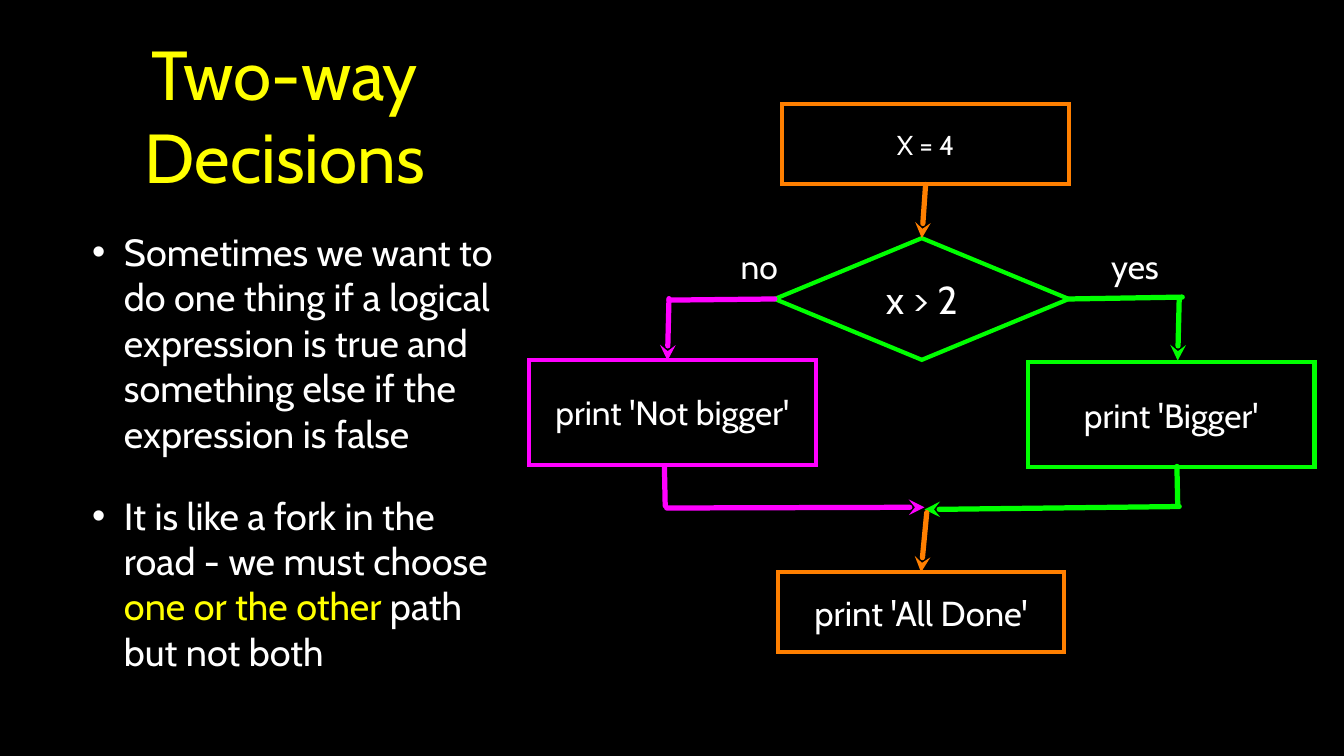
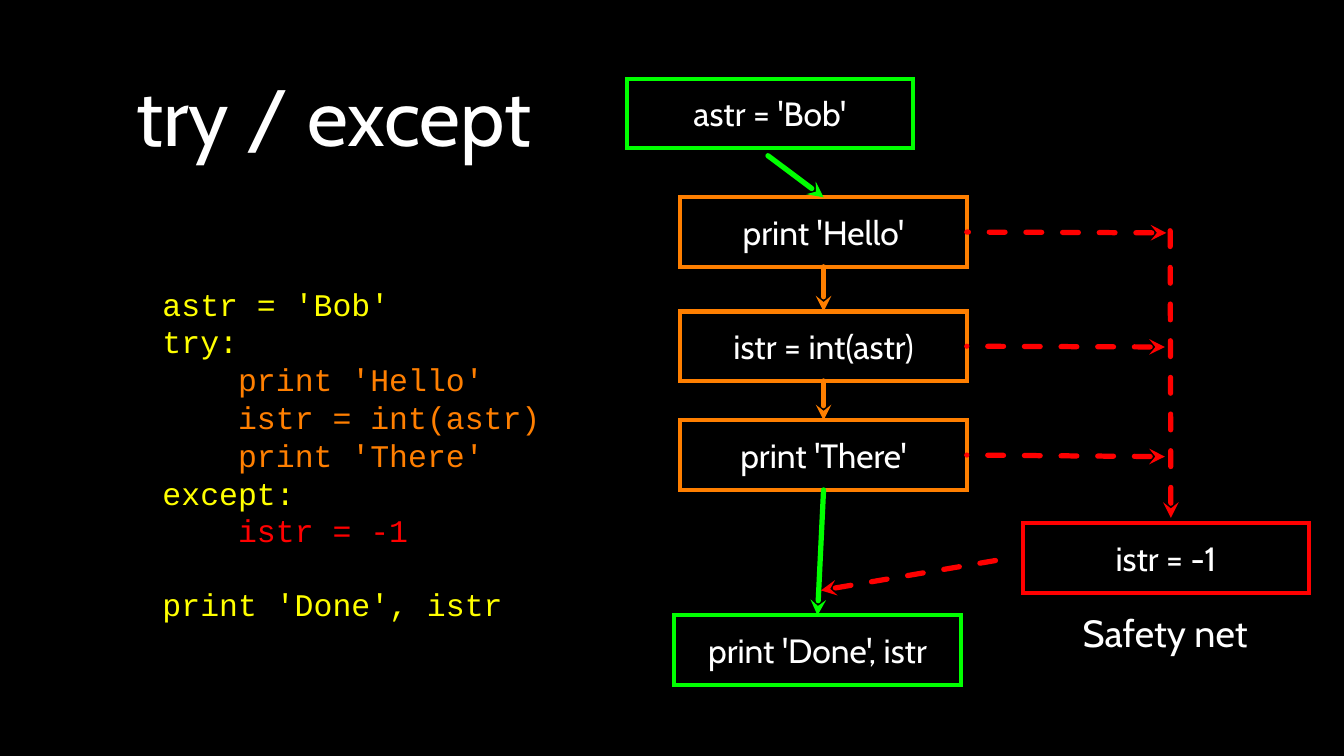
from itertools import pairwise

from pptx import Presentation
from pptx.dml.color import RGBColor
from pptx.enum import dml, shapes, text
from pptx.oxml import xmlchemy as xc
from pptx.util import Inches, Pt

BLACK = RGBColor(0x00, 0x00, 0x00)
WHITE = RGBColor(0xFF, 0xFF, 0xFF)
YELLOW = RGBColor(0xFF, 0xFF, 0x00)
GREEN = RGBColor(0x00, 0xFF, 0x00)
ORANGE = RGBColor(0xFF, 0x7F, 0x00)
MAGENTA = RGBColor(0xFF, 0x00, 0xFF)
RED = RGBColor(0xFF, 0x00, 0x00)

SANS = "Cabin"
MONO = "Courier New"
BOX_WIDTH = 3.79
RECT = shapes.MSO_SHAPE.RECTANGLE
TOP, LEFT, BOTTOM, RIGHT = range(4)


def add_xml(parent, tag, **attributes):
    child = xc.OxmlElement(tag)
    for name, value in attributes.items():
        child.set(name, value)
    parent.append(child)
    return child


def place(shape, left, top, width, height):
    shape.left, shape.top = Inches(left), Inches(top)
    shape.width, shape.height = Inches(width), Inches(height)


def prepare_frame(shape, inset=0):
    frame = shape.text_frame
    frame.word_wrap = True
    frame.auto_size = text.MSO_AUTO_SIZE.NONE
    frame.vertical_anchor = text.MSO_ANCHOR.MIDDLE
    frame.margin_left = frame.margin_right = Inches(inset)
    frame.margin_top = frame.margin_bottom = Inches(inset)
    return frame


def add_run(paragraph, words, size, color=WHITE, font=SANS):
    run = paragraph.add_run()
    run.text = words
    run.font.name = font
    run.font.size = Pt(size)
    run.font.color.rgb = color


def write_centred(shape, words, size, color=WHITE, inset=0):
    paragraph = prepare_frame(shape, inset).paragraphs[0]
    paragraph.alignment = text.PP_ALIGN.CENTER
    add_run(paragraph, words, size, color)


def set_title(slide, words, left, width, size, color):
    title = slide.shapes.title
    place(title, left, 0.26, width, 2.51)
    write_centred(title, words, size, color, inset=0.04)


def add_label(slide, words, left, top, width, height, size):
    label = slide.shapes.add_textbox(0, 0, 0, 0)
    place(label, left, top, width, height)
    write_centred(label, words, size)


def add_box(slide, words, left, top, height, color, size=32, kind=RECT,
            width=BOX_WIDTH):
    """Add an outlined flowchart step and return it."""
    box = slide.shapes.add_shape(kind, 0, 0, 0, 0)
    place(box, left, top, width, height)
    box.shadow.inherit = False
    box.fill.background()
    box.line.color.rgb = color
    box.line.width = Pt(4)
    add_xml(box.line._get_or_add_ln(), "a:miter", lim="800000")
    write_centred(box, words, size)
    return box


def add_link(slide, tip, tail, color, arrow=True, dashed=False):
    """Draw a line from tip to tail; each is an (x, y) point or (box, side)."""
    link = slide.shapes.add_connector(shapes.MSO_CONNECTOR.STRAIGHT, 0, 0, 0, 0)
    if isinstance(tip[0], (int, float)):
        link.begin_x, link.begin_y = map(Inches, tip)
    else:
        link.begin_connect(*tip)
    if isinstance(tail[0], (int, float)):
        link.end_x, link.end_y = map(Inches, tail)
    else:
        link.end_connect(*tail)
    link.line.color.rgb = color
    link.line.width = Pt(5)
    if dashed:
        link.line.dash_style = dml.MSO_LINE.DASH
    outline = link.line._get_or_add_ln()
    outline.set("cap", "rnd")
    add_xml(outline, "a:round")
    if arrow:
        add_xml(outline, "a:headEnd", type="stealth")
    add_xml(link._element.spPr, "a:effectLst")


def fill_bullets(body, bullets):
    """Write bullets, each a list of (words, colour) runs."""
    frame = prepare_frame(body, inset=0.04)
    for index, runs in enumerate(bullets):
        paragraph = frame.add_paragraph() if index else frame.paragraphs[0]
        paragraph.space_before = Pt(35 if index else 0)
        properties = paragraph._p.get_or_add_pPr()
        properties.set("marL", str(Inches(0.82)))
        properties.set("indent", str(Inches(-0.42)))
        bullet_color = add_xml(properties, "a:buClr")
        add_xml(bullet_color, "a:srgbClr", val=str(WHITE))
        add_xml(properties, "a:buChar", char="•")
        for words, color in runs:
            add_run(paragraph, words, 36, color)


def add_code(slide, lines):
    """Write code lines given as (words, colour, indent level, points before)."""
    code = slide.shapes.add_textbox(0, 0, 0, 0)
    place(code, 2.15, 3.13, 5.66, 5.74)
    frame = prepare_frame(code)
    for index, (words, color, level, before) in enumerate(lines):
        paragraph = frame.add_paragraph() if index else frame.paragraphs[0]
        paragraph.space_before = Pt(before)
        paragraph._p.get_or_add_pPr().set("marL", str(Inches(level)))
        add_run(paragraph, words, 30, color, MONO)


def build_two_way(prs):
    slide = prs.slides.add_slide(prs.slide_layouts[1])
    set_title(slide, "Two-way Decisions", 0.18, 7.18, 66, YELLOW)
    body = slide.placeholders[1]
    place(body, 0.78, 2.85, 6, 6.24)
    fill_bullets(body, [
        [("Sometimes we want to do one thing if a logical expression is true "
          "and something else if the expression is false", WHITE)],
        [("It is like a fork in the road - we must choose ", WHITE),
         ("one or the other", YELLOW),
         (" path but not both", WHITE)],
    ])

    assign = add_box(slide, "X = 4", 10.35, 1.38, 1.06, ORANGE, 26)
    test = add_box(slide, "x > 2", 10.25, 3.15, 1.61, GREEN, 37,
                   shapes.MSO_SHAPE.DIAMOND, 3.89)
    add_box(slide, "print 'Bigger'", 13.6, 4.79, 1.39, GREEN)
    add_box(slide, "print 'Not bigger'", 7, 4.76, 1.39, MAGENTA)
    done = add_box(slide, "print 'All Done'", 10.29, 7.57, 1.06, ORANGE, 33)
    add_label(slide, "yes", 14.67, 3.22, 0.69, 0.61, 32)
    add_label(slide, "no", 9.75, 3.22, 0.59, 0.61, 32)

    add_link(slide, (test, TOP), (assign, BOTTOM), ORANGE)

    add_link(slide, (test, RIGHT), (15.64, 3.93), GREEN, arrow=False)
    add_link(slide, (15.58, 4.77), (15.6, 3.95), GREEN)
    add_link(slide, (15.58, 6.67), (15.57, 6.17), GREEN, arrow=False)
    add_link(slide, (12.23, 6.74), (15.6, 6.7), GREEN)

    add_link(slide, (8.85, 3.97), (test, LEFT), MAGENTA, arrow=False)
    add_link(slide, (8.83, 4.77), (8.85, 3.95), MAGENTA)
    add_link(slide, (8.8, 6.69), (8.79, 6.18), MAGENTA, arrow=False)
    add_link(slide, (12.23, 6.71), (8.82, 6.72), MAGENTA)

    add_link(slide, (done, TOP), (12.26, 6.78), ORANGE)


def build_try_except(prs):
    slide = prs.slides.add_slide(prs.slide_layouts[5])
    set_title(slide, "try / except", 1.26, 6.31, 76, WHITE)
    add_code(slide, [
        ("astr = 'Bob'", YELLOW, 0, 0),
        ("try:", YELLOW, 0, 0),
        ("print 'Hello'", ORANGE, 1, 0),
        ("istr = int(astr)", ORANGE, 1, 0),
        ("print 'There'", ORANGE, 1, 0),
        ("except:", YELLOW, 0, 0),
        ("istr = -1", RED, 1, 0),
        ("print 'Done', istr", YELLOW, 0, 34),
    ])

    add_box(slide, "astr = 'Bob'", 8.29, 1.04, 0.92, GREEN)
    tried = [add_box(slide, words, 9, top, 0.92, ORANGE)
             for words, top in (("print 'Hello'", 2.61),
                                ("istr = int(astr)", 4.12),
                                ("print 'There'", 5.56))]
    done = add_box(slide, "print 'Done', istr", 8.92, 8.14, 0.92, GREEN)
    add_box(slide, "istr = -1", 13.53, 6.92, 0.92, RED)
    add_label(slide, "Safety net", 14.13, 8.03, 2.57, 0.68, 36)

    add_link(slide, (tried[0], TOP), (10.16, 2.06), GREEN)
    for step, following in pairwise(tried):
        add_link(slide, (following, TOP), (step, BOTTOM), ORANGE)
    add_link(slide, (done, TOP), (tried[-1], BOTTOM), GREEN)

    failure_tips = [(15.43, 3.08), (15.41, 4.59), (15.41, 6.04)]
    for step, tip in zip(tried, failure_tips):
        add_link(slide, tip, (step, RIGHT), RED, dashed=True)
    add_link(slide, (15.49, 6.85), (15.48, 3.01), RED, dashed=True)
    add_link(slide, (10.86, 7.81), (13.43, 7.37), RED, dashed=True)


def main():
    prs = Presentation()
    prs.slide_width, prs.slide_height = Inches(17.78), Inches(10)
    backdrop = prs.slide_master.background.fill
    backdrop.solid()
    backdrop.fore_color.rgb = BLACK
    build_two_way(prs)
    build_try_except(prs)
    prs.save("out.pptx")


if __name__ == "__main__":
    main()
